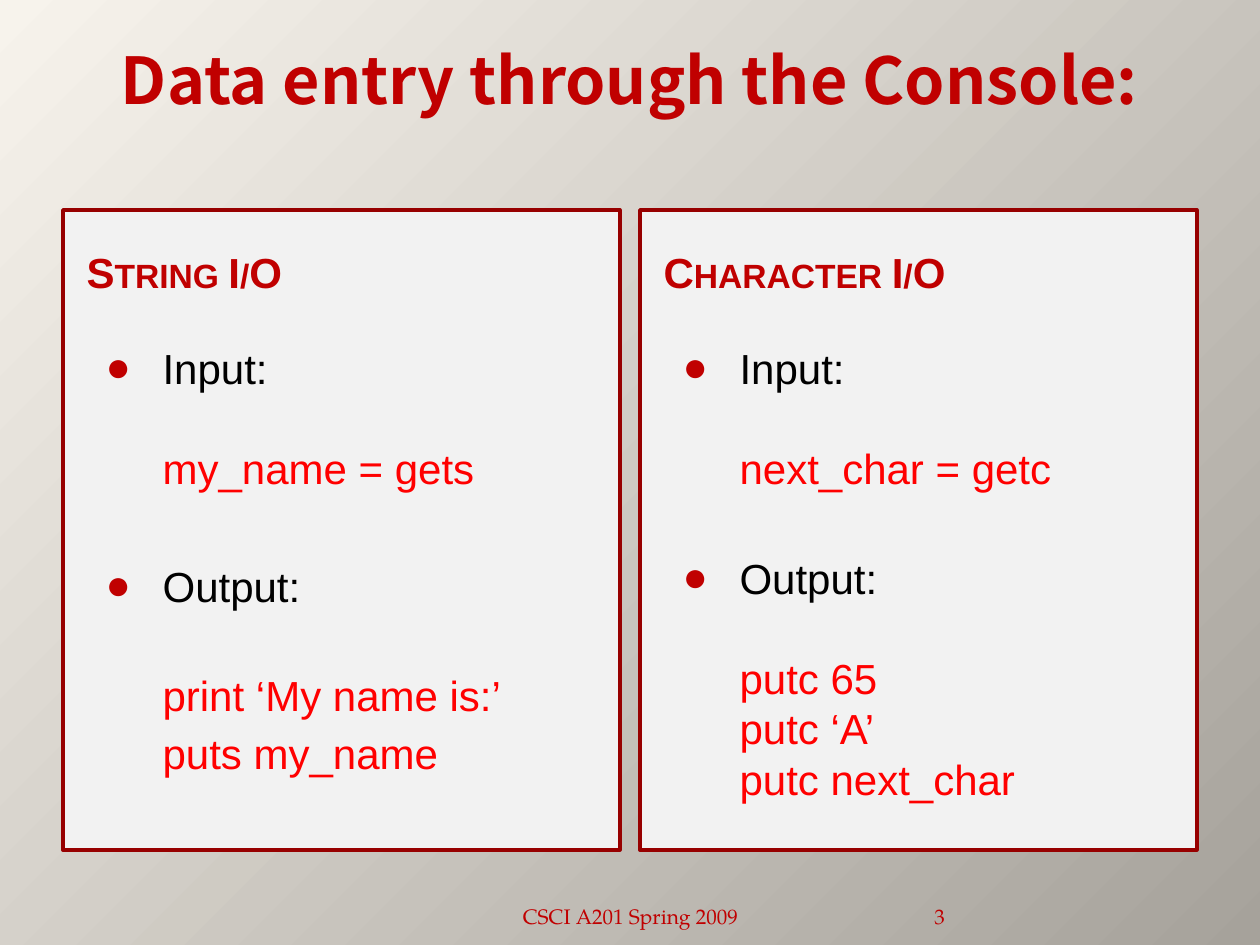
import pptx
import pptx.dml.color
import pptx.enum.shapes
import pptx.enum.text
import pptx.oxml.ns
import pptx.util
from lxml import etree

# Content: each line is (text, is a bulleted label, gap above in px)
TITLE = "Data entry through the Console:"
COLUMNS = [
    ("String I/O", [
        ("Input:", True, 0),
        ("my_name = gets", False, 50),
        ("Output:", True, 67),
        ("print ‘My name is:’", False, 59),
        ("puts my_name", False, 8),
    ]),
    ("Character I/O", [
        ("Input:", True, 0),
        ("next_char = getc", False, 50),
        ("Output:", True, 59),
        ("putc 65", False, 50),
        ("putc ‘A’", False, 0),
        ("putc next_char", False, 0),
    ]),
]
FOOTER = "CSCI A201 Spring 2009"
PAGE_NUMBER = "3"

COLORS = {"light": "F7F3EC", "dark": "A6A29B", "card": "F2F2F2", "border": "970000",
          "accent": "C00000", "label": "000000", "code": "FF0000"}
BODY_FONT, TITLE_FONT, FOOTER_FONT = "Arial", "Noto Sans CJK SC", "TeX Gyre Pagella"

# Layout in px
PX = 914400 // 126
CARD_LEFT, CARD_TOP, CARD_WIDTH, CARD_HEIGHT = 63, 210, 557, 640
COLUMN_STEP = 577
INSET = 11
HEADING_TOP, HEADING_HEIGHT = 220, 104
LIST_TOP, LIST_HEIGHT = 336, 504
TEXT_INDENT, BULLET_HANG = 76, 57

ANCHOR = pptx.enum.text.MSO_ANCHOR
ALIGN = pptx.enum.text.PP_ALIGN


def px(length):
    return pptx.util.Emu(length * PX)


def rgb(name):
    return pptx.dml.color.RGBColor.from_string(COLORS[name])


def place(shape, left, top, width, height):
    shape.left, shape.top, shape.width, shape.height = map(px, (left, top, width, height))


def prepare_frame(shape, anchor):
    frame = shape.text_frame
    frame.word_wrap = True
    frame.auto_size = pptx.enum.text.MSO_AUTO_SIZE.NONE
    frame.vertical_anchor = anchor
    return frame


def style(paragraph, font_name, size, color, bold=False):
    for run in paragraph.runs:
        run.font.name = font_name
        run.font.size = pptx.util.Pt(size)
        run.font.bold = bold
        run.font.color.rgb = rgb(color)


def set_bullet(paragraph, bulleted):
    properties = paragraph._p.get_or_add_pPr()
    properties.set("marL", str(px(TEXT_INDENT)))
    properties.set("indent", str(-px(BULLET_HANG) if bulleted else 0))
    qn = pptx.oxml.ns.qn
    if bulleted:
        color = etree.SubElement(properties, qn("a:buClr"))
        etree.SubElement(color, qn("a:srgbClr"), val=COLORS["accent"])
        etree.SubElement(properties, qn("a:buFont"), typeface=BODY_FONT)
        etree.SubElement(properties, qn("a:buChar"), char="●")
    else:
        etree.SubElement(properties, qn("a:buNone"))


def add_card(slide, left):
    card = slide.shapes.add_shape(pptx.enum.shapes.MSO_SHAPE.RECTANGLE, px(left),
                                  px(CARD_TOP), px(CARD_WIDTH), px(CARD_HEIGHT))
    card.shadow.inherit = False
    card.fill.solid()
    card.fill.fore_color.rgb = rgb("card")
    card.line.color.rgb = rgb("border")
    card.line.width = pptx.util.Pt(2)
    slide.shapes.title.element.addprevious(card.element)


def fill_heading(shape, text):
    frame = prepare_frame(shape, ANCHOR.MIDDLE)
    frame.text = text
    paragraph = frame.paragraphs[0]
    paragraph.space_before = pptx.util.Pt(4.8)
    style(paragraph, BODY_FONT, 24, "accent", bold=True)
    paragraph.runs[0].font._element.set("cap", "small")


def fill_list(shape, lines):
    frame = prepare_frame(shape, ANCHOR.TOP)
    frame.text = "\n".join(text for text, _, _ in lines)
    for paragraph, (_, bulleted, gap) in zip(frame.paragraphs, lines):
        paragraph.line_spacing = pptx.util.Pt(28.8)
        paragraph.space_before = px(gap)
        set_bullet(paragraph, bulleted)
        style(paragraph, BODY_FONT, 24, "label" if bulleted else "code")


def add_footer(slide, text, box, alignment, side_margin):
    shape = slide.shapes.add_textbox(*map(px, box))
    frame = prepare_frame(shape, ANCHOR.BOTTOM)
    frame.margin_left = frame.margin_right = px(side_margin)
    frame.text = text
    frame.paragraphs[0].alignment = alignment
    style(frame.paragraphs[0], FOOTER_FONT, 12, "accent")


def main():
    presentation = pptx.Presentation()
    presentation.slide_width, presentation.slide_height = px(1260), px(945)
    slide = presentation.slides.add_slide(presentation.slide_layouts.get_by_name("Comparison"))

    # Background
    background = slide.background.fill
    background.gradient()
    background.gradient_angle = 315
    for stop, name, position in zip(background.gradient_stops, ("light", "dark"), (0, 1)):
        stop.color.rgb = rgb(name)
        stop.position = position

    # Title
    title = slide.shapes.title
    place(title, 63, 38, 1134, 157)
    frame = prepare_frame(title, ANCHOR.TOP)
    frame.margin_top = px(2)
    frame.text = TITLE
    frame.paragraphs[0].alignment = ALIGN.CENTER
    style(frame.paragraphs[0], TITLE_FONT, 36.9, "accent", bold=True)

    # Two cards, each with a heading and a list
    for index, (heading_text, lines) in enumerate(COLUMNS):
        left = CARD_LEFT + index * COLUMN_STEP
        add_card(slide, left)
        heading = slide.placeholders[1 + 2 * index]
        body = slide.placeholders[2 + 2 * index]
        width = CARD_WIDTH - 2 * INSET
        place(heading, left + INSET, HEADING_TOP, width, HEADING_HEIGHT)
        place(body, left + INSET, LIST_TOP, width, LIST_HEIGHT)
        for shape in (heading, body):
            shape.fill.solid()
            shape.fill.fore_color.rgb = rgb("card")
        fill_heading(heading, heading_text)
        fill_list(body, lines)

    # Footer
    add_footer(slide, FOOTER, (431, 885, 399, 50), ALIGN.CENTER, 13)
    add_footer(slide, PAGE_NUMBER, (840, 885, 105, 50), ALIGN.RIGHT, 0)

    presentation.save("out.pptx")


if __name__ == "__main__":
    main()
